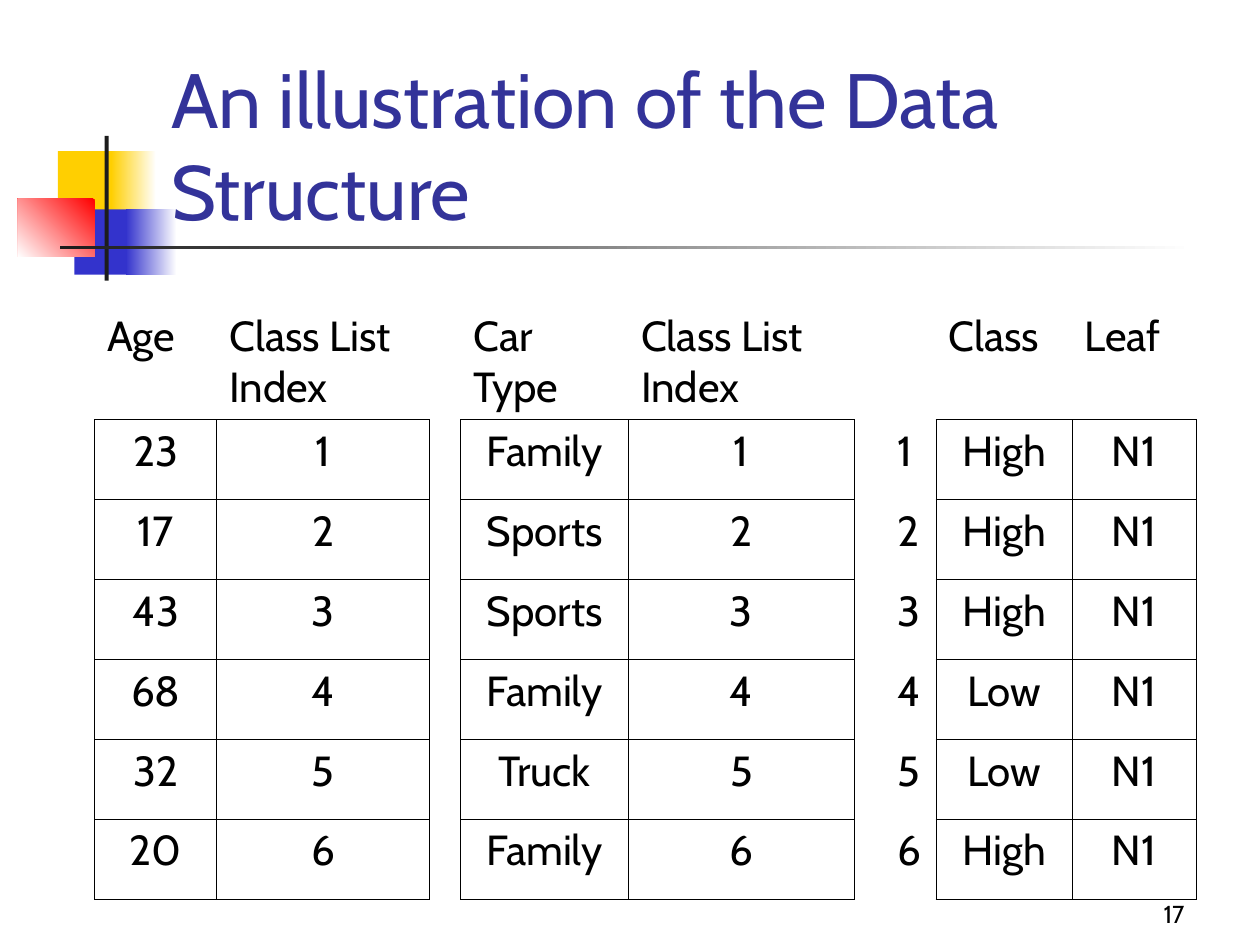
"""Build the slide showing attribute lists and a class list as a data structure."""
from dataclasses import dataclass

from lxml import etree
from pptx import Presentation
from pptx import util as u
from pptx.dml.color import RGBColor
from pptx.enum import shapes, text
from pptx.oxml.ns import qn


@dataclass(frozen=True)
class Theme:
    font: str = "Cabin"
    title_size: int = 44
    table_size: int = 24
    number_size: int = 14
    title: str = "333399"
    ink: str = "000000"
    white: str = "FFFFFF"
    yellow: str = "FFCF01"
    blue: str = "3333CC"
    red: str = "FF0000"
    dark: str = "1C1C1C"
    border: float = 0.45


theme = Theme()


def style_paragraph(para, size, color, align):
    para.alignment = align
    para.font.name = theme.font
    para.font.size = u.Pt(size)
    para.font.bold = False
    para.font.color.rgb = RGBColor.from_string(color)


def add_border(cell, side, visible):
    line = etree.SubElement(cell._tc.get_or_add_tcPr(), qn(f"a:ln{side}"), w=str(u.Pt(theme.border)))
    if visible:
        fill = etree.SubElement(line, qn("a:solidFill"))
        etree.SubElement(fill, qn("a:srgbClr"), val=theme.ink)
    else:
        etree.SubElement(line, qn("a:noFill"))


deck = Presentation()
deck.slide_width, deck.slide_height = u.Cm(25.4), u.Cm(19.05)
page = deck.slides.add_slide(deck.slide_layouts[6])

ornaments = [
    (1.17, 3.05, 1.22, 1.32, [theme.yellow], 0),
    (2.24, 3.05, 0.91, 1.32, [theme.white, theme.yellow], 180),
    (1.5, 4.22, 1.17, 1.32, [theme.blue], 0),
    (2.54, 4.22, 1.02, 1.32, [theme.white, theme.blue], 180),
    (0.36, 4.01, 1.55, 1.17, [theme.red, theme.white], 225),
    (2.11, 2.74, 0.08, 2.92, [theme.dark], 0),
    (1.22, 4.95, 22.86, 0.08, [theme.white, theme.dark], 180),
]
for left, top, width, height, colors, angle in ornaments:
    ornament = page.shapes.add_shape(
        shapes.MSO_SHAPE.RECTANGLE, u.Cm(left), u.Cm(top), u.Cm(width), u.Cm(height))
    ornament.shadow.inherit = False
    ornament.line.fill.background()
    if len(colors) == 1:
        ornament.fill.solid()
        ornament.fill.fore_color.rgb = RGBColor.from_string(colors[0])
    else:
        ornament.fill.gradient()
        ornament.fill.gradient_angle = angle
        for stop, color in zip(ornament.fill.gradient_stops, colors):
            stop.color.rgb = RGBColor.from_string(color)

header = ["Age", "Class List Index", "", "Car Type", "Class List Index", "", "", "Class", "Leaf"]
records = [
    ("23", "Family", "High"),
    ("17", "Sports", "High"),
    ("43", "Sports", "High"),
    ("68", "Family", "Low"),
    ("32", "Truck", "Low"),
    ("20", "Family", "High"),
]
rows = [header]
for index, (age, car, risk) in enumerate(records, 1):
    rows.append([age, str(index), "", car, str(index), "", str(index), risk, "N1"])

column_widths = [2.46, 4.29, 0.63, 3.38, 4.55, 0.61, 1.04, 2.74, 2.51]
row_heights = [2.3] + [1.61] * len(records)
boxed = {(row, column) for row in range(1, len(rows)) for column in (0, 1, 3, 4, 7, 8)}
neighbours = {"L": (0, -1), "R": (0, 1), "T": (-1, 0), "B": (1, 0)}

table = page.shapes.add_table(
    len(rows), len(header), u.Cm(1.91), u.Cm(6.15),
    u.Cm(sum(column_widths)), u.Cm(sum(row_heights))).table
table.first_row = table.horz_banding = False
for column, width in zip(table.columns, column_widths):
    column.width = u.Cm(width)
for row, height in zip(table.rows, row_heights):
    row.height = u.Cm(height)

for row, values in enumerate(rows):
    for column, value in enumerate(values):
        cell = table.cell(row, column)
        for side, (down, across) in neighbours.items():
            add_border(cell, side, bool({(row, column), (row + down, column + across)} & boxed))
        cell.fill.background()
        if value:
            cell.text = value
            align = text.PP_ALIGN.CENTER if (row, column) in boxed else text.PP_ALIGN.LEFT
            style_paragraph(cell.text_frame.paragraphs[0], theme.table_size, theme.ink, align)

labels = [
    ("An illustration of the Data Structure", 3.2, 1.7, 21.64, 3.18,
     theme.title_size, theme.title, text.PP_ALIGN.LEFT),
    ("17", 18.85, 17.58, 5.28, 1.27, theme.number_size, theme.ink, text.PP_ALIGN.RIGHT),
]
for label, left, top, width, height, size, color, align in labels:
    box = page.shapes.add_textbox(u.Cm(left), u.Cm(top), u.Cm(width), u.Cm(height))
    frame = box.text_frame
    frame.word_wrap = True
    frame.vertical_anchor = text.MSO_ANCHOR.BOTTOM
    frame.text = label
    style_paragraph(frame.paragraphs[0], size, color, align)

deck.save("out.pptx")
